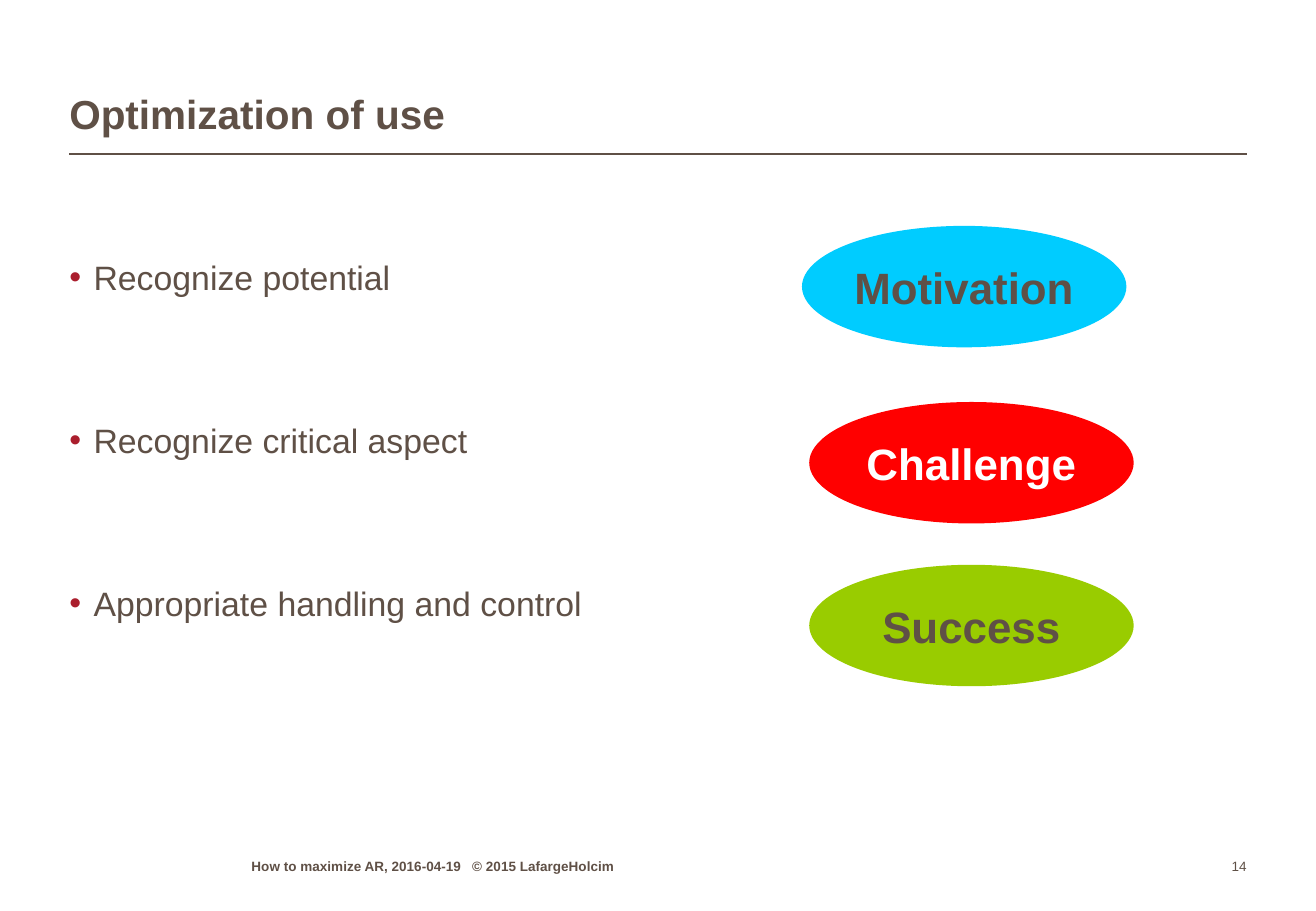
from lxml import etree
from pptx import Presentation
from pptx import util as u
from pptx.dml.color import RGBColor
from pptx.enum import shapes, text
from pptx.oxml import ns

PX = u.Inches(1) // 100
BROWN = RGBColor(0x5F, 0x50, 0x46)
CRIMSON = RGBColor(0xAA, 0x1E, 0x2D)
WHITE = RGBColor(0xFF, 0xFF, 0xFF)
CYAN = RGBColor(0x00, 0xCC, 0xFF)
RED = RGBColor(0xFF, 0x00, 0x00)
GREEN = RGBColor(0x99, 0xCC, 0x00)
LEFT, WIDTH = 57, 969
ACTIONS = ["Recognize potential", "Recognize critical aspect", "Appropriate handling and control"]
STAGES = [
    ("Motivation", 0, 0, CYAN, BROWN),
    ("Challenge", 6, 145, RED, WHITE),
    ("Success", 6, 279, GREEN, BROWN),
]


def place(shape, box):
    """Move a shape to a box given in px."""
    shape.left, shape.top, shape.width, shape.height = (length * PX for length in box)


def add_bullet(paragraph):
    """Give a paragraph a crimson bullet with a hanging indent."""
    properties = paragraph._p.get_or_add_pPr()
    properties.set("marL", str(20 * PX))
    properties.set("indent", str(-20 * PX))
    color = etree.SubElement(properties, ns.qn("a:buClr"))
    etree.SubElement(color, ns.qn("a:srgbClr"), val=str(CRIMSON))
    etree.SubElement(properties, ns.qn("a:buFont"), typeface="Arial")
    etree.SubElement(properties, ns.qn("a:buChar"), char="•")


def write(shape, lines, size, color=BROWN, bold=False, align=text.PP_ALIGN.LEFT,
          anchor=text.MSO_ANCHOR.BOTTOM, inset=0, wrap=True, spacing=1.0, gap=0, bullet=False):
    """Fill a shape with formatted paragraphs."""
    frame = shape.text_frame
    frame.text = "\n".join(lines)
    frame.auto_size = text.MSO_AUTO_SIZE.NONE
    frame.word_wrap = wrap
    frame.vertical_anchor = anchor
    frame.margin_left = frame.margin_right = inset * 2 * PX
    frame.margin_top = frame.margin_bottom = inset * PX
    for index, paragraph in enumerate(frame.paragraphs):
        if bullet:
            add_bullet(paragraph)
        paragraph.alignment = align
        paragraph.line_spacing = spacing
        paragraph.space_before = u.Pt(gap if index else 0)
        for run in paragraph.runs:
            run.font.name = "Arial"
            run.font.size = u.Pt(size)
            run.font.bold = bold
            run.font.color.rgb = color


def add_header(slide, box):
    """Place the title with a rule below it."""
    left, top, width, height = box
    place(slide.shapes.title, box)
    write(slide.shapes.title, ["Optimization of use"], 24, bold=True, spacing=0.95)
    rule_top = (top + height + 13) * PX
    rule = slide.shapes.add_connector(
        shapes.MSO_CONNECTOR.STRAIGHT, left * PX, rule_top, (left + width) * PX, rule_top)
    rule.line.color.rgb = BROWN
    rule.line.width = u.Pt(1)
    etree.SubElement(rule._element.spPr, ns.qn("a:effectLst"))


def add_actions(slide, box):
    """Place the bulleted list of actions."""
    body = slide.placeholders[1]
    place(body, box)
    write(body, ACTIONS, 20, anchor=text.MSO_ANCHOR.TOP, gap=72.7, bullet=True)


def add_stages(slide, box):
    """Place one ellipse per stage down the box."""
    left, top, width, height = box
    for label, shift, drop, fill, color in STAGES:
        ellipse = slide.shapes.add_shape(shapes.MSO_SHAPE.OVAL, 0, 0, 0, 0)
        place(ellipse, (left + shift, top + drop, width - 6, height - 279))
        ellipse.shadow.inherit = False
        ellipse.fill.solid()
        ellipse.fill.fore_color.rgb = fill
        ellipse.line.fill.background()
        write(ellipse, [label], 26, color=color, bold=True, align=text.PP_ALIGN.CENTER,
              anchor=text.MSO_ANCHOR.MIDDLE, inset=5, wrap=False)


def add_footer(slide, box):
    """Place the copyright line and the page number."""
    left, top, width, height = box
    notice = slide.shapes.add_textbox(0, 0, 0, 0)
    place(notice, (left + 150, top, 347, height))
    write(notice, ["How to maximize AR, 2016-04-19   © 2015 LafargeHolcim"], 8, bold=True)
    number = slide.shapes.add_textbox(0, 0, 0, 0)
    place(number, (left + width - 47, top, 47, height))
    write(number, ["14"], 8, align=text.PP_ALIGN.RIGHT)


def main():
    """Build and save the presentation."""
    presentation = Presentation()
    presentation.slide_width = 1083 * PX
    presentation.slide_height = 750 * PX
    slide = presentation.slides.add_slide(presentation.slide_layouts[1])
    add_header(slide, (LEFT, 21, WIDTH, 93))
    add_actions(slide, (LEFT, 211, WIDTH, 466))
    add_stages(slide, (660, 186, 273, 379))
    add_footer(slide, (LEFT, 702, WIDTH, 18))
    presentation.save("out.pptx")


if __name__ == "__main__":
    main()
